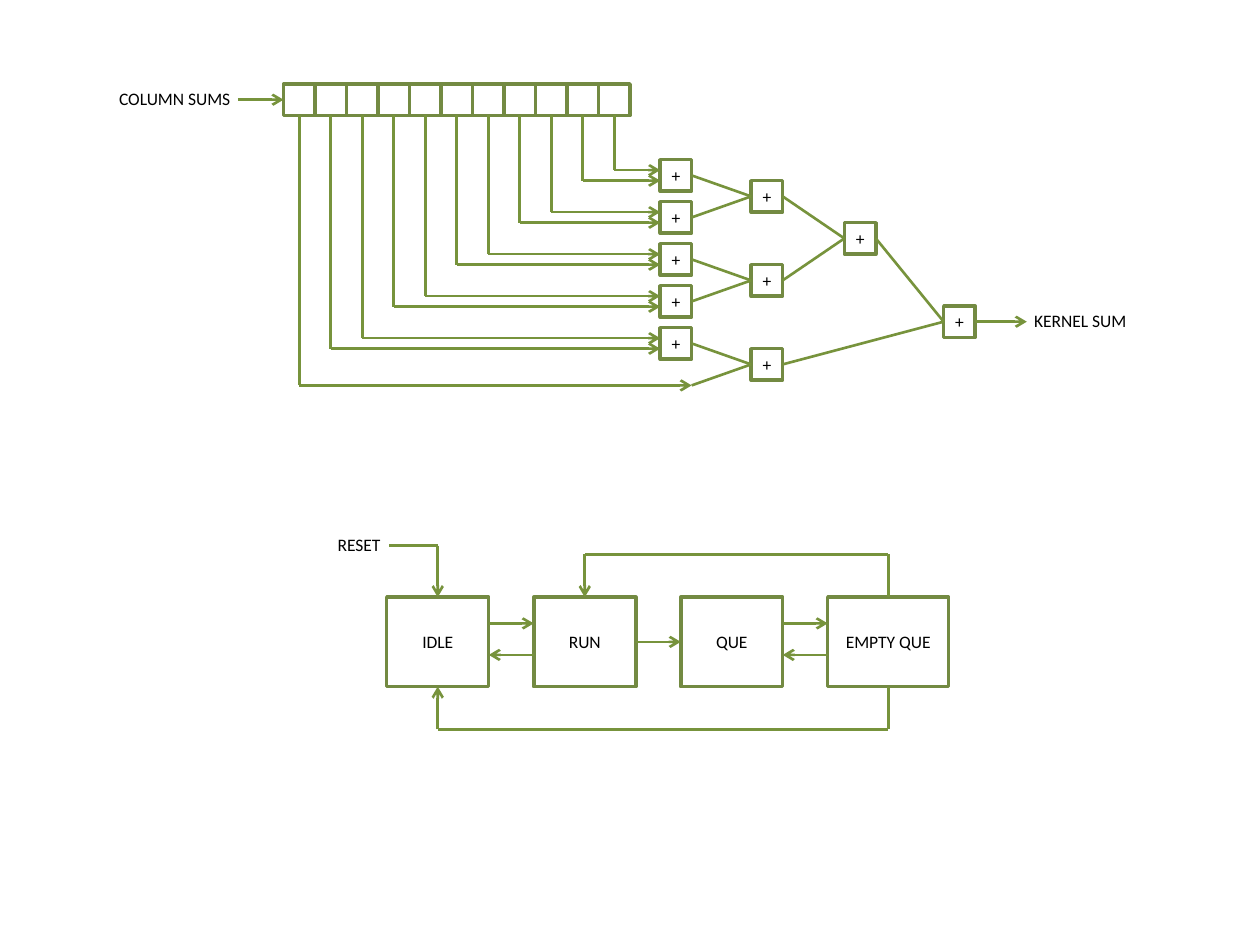
import collections

import pptx
import pptx.dml.color
import pptx.enum.shapes
import pptx.enum.text
import pptx.oxml
import pptx.oxml.ns
import pptx.util

Pt = pptx.util.Pt
Box = collections.namedtuple("Box", "left top width height")
Joint = collections.namedtuple("Joint", "shape site")

OUTLINE, WIRE, INK = "738A42", "77933C", "000000"
TOP, LEFT, BOTTOM, RIGHT = range(4)
UNIT = 18


def color(value):
    """Turn a hex string into a colour."""
    return pptx.dml.color.RGBColor.from_string(value)


def set_text(shape, text):
    """Write one line of diagram text into a shape."""
    para = shape.text_frame.paragraphs[0]
    para.text = text
    for span in para.runs:
        span.font.name = "Calibri"
        span.font.size = Pt(10)
        span.font.color.rgb = color(INK)
    return para


def add_block(page, box, text=""):
    """Add an outlined rectangle with centred text."""
    block = page.shapes.add_shape(
        pptx.enum.shapes.MSO_SHAPE.RECTANGLE, *map(Pt, box))
    block.shadow.inherit = False
    block.fill.background()
    block.line.color.rgb = color(OUTLINE)
    block.line.width = Pt(2)
    frame = block.text_frame
    frame.margin_left = frame.margin_right = 0
    frame.margin_top = frame.margin_bottom = 0
    frame.vertical_anchor = pptx.enum.text.MSO_ANCHOR.MIDDLE
    set_text(block, text).alignment = pptx.enum.text.PP_ALIGN.CENTER
    return block


def add_label(page, box, text):
    """Add a free-standing label."""
    label = page.shapes.add_textbox(*map(Pt, box))
    label.text_frame.word_wrap = True
    label.text_frame.auto_size = pptx.enum.text.MSO_AUTO_SIZE.SHAPE_TO_FIT_TEXT
    set_text(label, text).alignment = pptx.enum.text.PP_ALIGN.LEFT


def locate(stop):
    """Give the x and y, in points, of a joint or a plain point."""
    if not isinstance(stop, Joint):
        return stop
    shape = stop.shape
    across = {LEFT: 0, RIGHT: 1}.get(stop.site, 0.5)
    down = {TOP: 0, BOTTOM: 1}.get(stop.site, 0.5)
    return (shape.left.pt + across * shape.width.pt,
            shape.top.pt + down * shape.height.pt)


def add_route(page, *stops, arrow=True):
    """Draw straight lines from stop to stop, with an arrow at the last one."""
    for start, end in zip(stops, stops[1:]):
        wire = page.shapes.add_connector(
            pptx.enum.shapes.MSO_CONNECTOR.STRAIGHT,
            *map(Pt, (*locate(start), *locate(end))))
        wire.line.color.rgb = color(WIRE)
        wire.line.width = Pt(1.5)
        if isinstance(start, Joint):
            wire.begin_connect(*start)
        if isinstance(end, Joint):
            wire.end_connect(*end)
        if arrow and end is stops[-1]:
            tail = pptx.oxml.parse_xml(
                f'<a:tailEnd {pptx.oxml.ns.nsdecls("a")} type="arrow"/>')
            wire.line._get_or_add_ln().append(tail)
        wire._element.spPr.append(pptx.oxml.parse_xml(
            f'<a:effectLst {pptx.oxml.ns.nsdecls("a")}/>'))


def add_register(page, box, count):
    """Add the shift register with its input and return its cells."""
    width = box.width / count
    cells = [add_block(page, Box(box.left + index * width, box.top, width, box.height))
             for index in range(count)]
    add_label(page, Box(box.left - 101, box.top - 1.2, 88, 19.4), "COLUMN SUMS")
    entry = Joint(cells[0], LEFT)
    add_route(page, (box.left - 26, locate(entry)[1]), entry)
    return cells


def add_adder_tree(page, box, cells):
    """Add the adders that reduce the register cells to one sum."""
    pitch = 24

    def add_adder(left, middle):
        return add_block(
            page, Box(box.left + left, box.top + middle - UNIT / 2, UNIT, UNIT), "+")

    def merge(sources, left, middle):
        adder = add_adder(left, middle)
        for source in sources:
            add_route(page, source, Joint(adder, LEFT), arrow=False)
        return Joint(adder, RIGHT)

    middles = [UNIT / 2 + pitch * row for row in range(6)]
    outputs = [Joint(add_adder(0, middle), RIGHT) for middle in middles[:-1]]
    spare = (box.left + UNIT, box.top + middles[-1])
    outputs.append(spare)

    for index, cell in enumerate(reversed(cells)):
        row, second = divmod(index, 2)
        if row < 5:
            end = (box.left, box.top + middles[row] + (3 if second else -3))
        else:
            end = spare
        tap = Joint(cell, BOTTOM)
        add_route(page, tap, (locate(tap)[0], end[1]), end)

    pairs = [merge(outputs[row:row + 2], 52, middles[row] + pitch / 2)
             for row in (0, 2, 4)]
    upper = merge(pairs[:2], 105.25, middles[1] + pitch / 2)
    total = merge([upper, pairs[2]], box.width - UNIT, 92.6)
    x, y = locate(total)
    add_route(page, total, (x + 29.5, y))
    add_label(page, Box(x + 26.6, y - 10.2, 75.6, 19.4), "KERNEL SUM")


def add_state_machine(page, box):
    """Add the four states and the transitions between them."""
    pitch, width = 84, 58.3
    names = ("IDLE", "RUN", "QUE", "EMPTY QUE")
    states = []
    for index, name in enumerate(names):
        span = box.width - 3 * pitch if name == names[-1] else width
        states.append(add_block(
            page, Box(box.left + index * pitch, box.top, span, box.height), name))
    idle, run, queue, empty = states

    for first, second in ((idle, run), (queue, empty)):
        near = locate(Joint(first, RIGHT))[0]
        far = locate(Joint(second, LEFT))[0]
        ahead, back = box.top + 15, box.top + 33
        add_route(page, (near, ahead), (far, ahead))
        add_route(page, (far, back), (near, back))
    add_route(page, Joint(run, RIGHT), Joint(queue, LEFT))

    for target, side, level in ((run, TOP, box.top - 24.5),
                                (idle, BOTTOM, box.top + box.height + 24.5)):
        start, end = Joint(empty, side), Joint(target, side)
        add_route(page, start, (locate(start)[0], level),
                  (locate(end)[0], level), end)

    level = box.top - 29.5
    entry = Joint(idle, TOP)
    add_label(page, Box(box.left - 35.2, level - 10, 41.8, 19.4), "RESET")
    add_route(page, (box.left + 1.5, level), (locate(entry)[0], level), entry)


def main():
    """Build the one-page deck."""
    deck = pptx.Presentation()
    deck.slide_width, deck.slide_height = Pt(720), Pt(540)
    page = deck.slides.add_slide(deck.slide_layouts[6])
    cells = add_register(page, Box(162, 48, 11 * UNIT, UNIT), 11)
    add_adder_tree(page, Box(377.25, 91.25, 180, 138), cells)
    add_state_machine(page, Box(221, 341.25, 321.1, 51.1))
    deck.save("out.pptx")


if __name__ == "__main__":
    main()
